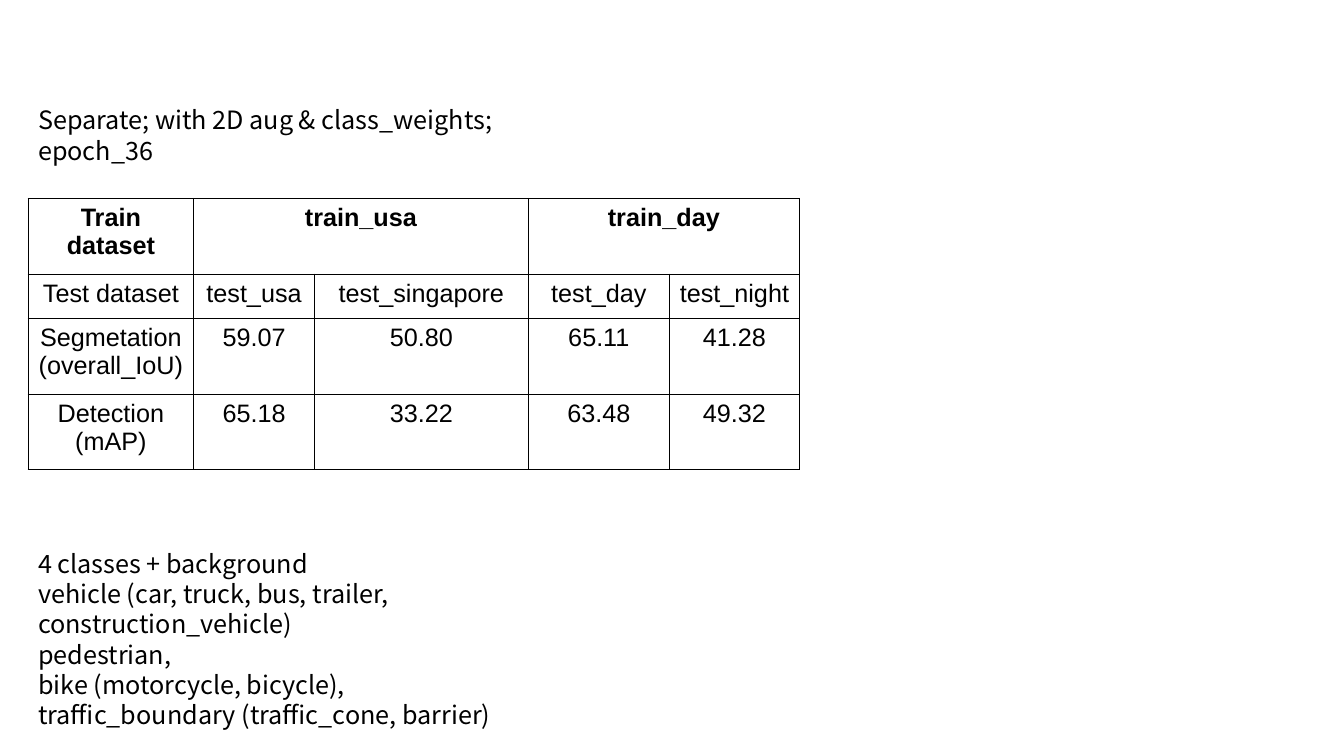
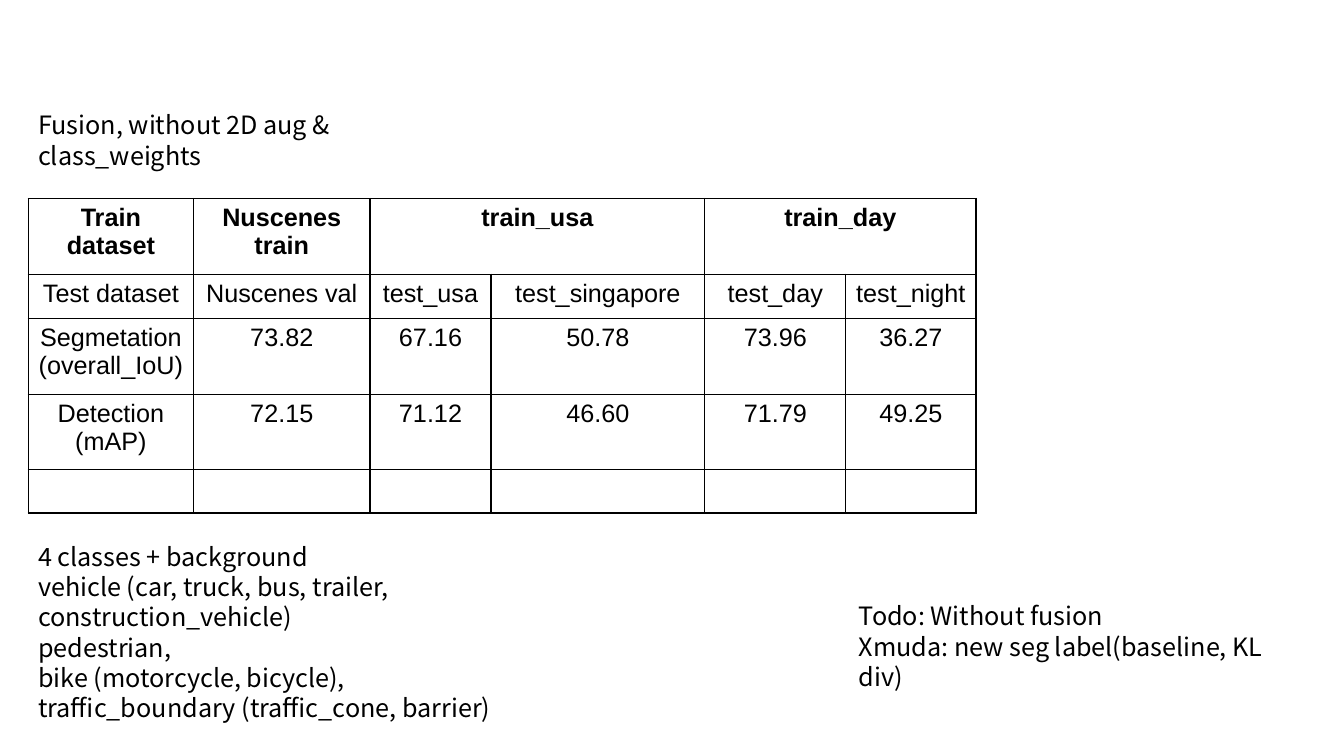
from dataclasses import dataclass

from lxml import etree
from pptx import Presentation
from pptx.dml.color import RGBColor
from pptx.enum.text import PP_ALIGN
from pptx.oxml.ns import qn
from pptx.slide import Slide
from pptx.table import _Cell
from pptx.text.text import TextFrame
from pptx.util import Inches, Pt

LEFT = PP_ALIGN.LEFT
CENTER = PP_ALIGN.CENTER
BLANK_LAYOUT = 6


@dataclass(frozen=True)
class Theme:
    """Colours, fonts and sizes shared by all slides."""

    ink: str = "000000"
    table_font: str = "Arial"
    note_font: str = "Noto Sans CJK SC"
    text_size: float = 18
    note_leading: float = 21.6
    border_width: float = 1
    left: float = 0.28
    table_top: float = 1.97
    cell_margin: float = 0.09


@dataclass(frozen=True)
class Note:
    """A text box with one paragraph per line."""

    left: float
    top: float
    width: float
    height: float
    text: str


@dataclass(frozen=True)
class TestSet:
    """A result column for one test set."""

    name: str
    width: float
    segmentation: str
    detection: str


@dataclass(frozen=True)
class TrainSet:
    """A training set and the test sets it is scored on."""

    name: str
    tests: tuple[TestSet, ...]


@dataclass(frozen=True)
class ResultSlide:
    """The content of one results slide."""

    train_sets: tuple[TrainSet, ...]
    row_heights: tuple[float, ...]
    notes: tuple[Note, ...]


THEME = Theme()
LABEL_WIDTH = 1.64
ROW_LABELS = ("Train dataset", "Test dataset", "Segmetation\n(overall_IoU)", "Detection\n(mAP)")
ROW_HEIGHTS = (0.75, 0.44, 0.75, 0.75)
CLASSES = (
    "4 classes + background\n"
    "vehicle (car, truck, bus, trailer, construction_vehicle)\n"
    "pedestrian,\n"
    "bike (motorcycle, bicycle),\n"
    "traffic_boundary (traffic_cone, barrier)"
)


def classes_note(top: float) -> Note:
    """Return the list of classes placed at the given height."""
    return Note(THEME.left, top, 5.72, 1.62, CLASSES)


def domain_sets(usa: tuple[str, str], singapore: tuple[str, str],
                day: tuple[str, str], night: tuple[str, str]) -> tuple[TrainSet, ...]:
    """Return the train sets with their segmentation and detection scores."""
    return (
        TrainSet("train_usa", (TestSet("test_usa", 1.2, *usa),
                               TestSet("test_singapore", 2.12, *singapore))),
        TrainSet("train_day", (TestSet("test_day", 1.4, *day),
                               TestSet("test_night", 1.29, *night))),
    )


SLIDES = (
    ResultSlide(
        domain_sets(("59.07", "65.18"), ("50.80", "33.22"),
                    ("65.11", "63.48"), ("41.28", "49.32")),
        ROW_HEIGHTS,
        (
            classes_note(5.39),
            Note(THEME.left, 0.99, 5.52, 0.4, "Separate; with 2D aug & class_weights; epoch_36"),
        ),
    ),
    ResultSlide(
        (TrainSet("Nuscenes train", (TestSet("Nuscenes val", 1.75, "73.82", "72.15"),)),)
        + domain_sets(("67.16", "71.12"), ("50.78", "46.60"),
                      ("73.96", "71.79"), ("36.27", "49.25")),
        ROW_HEIGHTS + (0.43,),
        (
            classes_note(5.32),
            Note(8.42, 5.91, 4.37, 0.71,
                 "Todo: Without fusion\nXmuda: new seg label(baseline, KL div)"),
            Note(THEME.left, 1.04, 4.47, 0.4, "Fusion, without 2D aug & class_weights"),
        ),
    ),
)


def write_text(frame: TextFrame, text: str, *, font: str, bold: bool = False,
               align: PP_ALIGN = LEFT, leading: float | None = None) -> None:
    """Fill a text frame with formatted paragraphs."""
    frame.text = text
    frame.word_wrap = True
    for paragraph in frame.paragraphs:
        paragraph.alignment = align
        if leading is not None:
            paragraph.line_spacing = Pt(leading)
        paragraph.font.size = Pt(THEME.text_size)
        for run in paragraph.runs:
            run.font.name = font
            run.font.size = Pt(THEME.text_size)
            run.font.bold = bold
            run.font.color.rgb = RGBColor.from_string(THEME.ink)


def format_cell(cell: _Cell) -> None:
    """Give a cell thin borders, side margins and no fill."""
    properties = cell._tc.get_or_add_tcPr()
    for side in ("lnL", "lnR", "lnT", "lnB"):
        line = etree.SubElement(properties, qn(f"a:{side}"), w=str(Pt(THEME.border_width)))
        fill = etree.SubElement(line, qn("a:solidFill"))
        etree.SubElement(fill, qn("a:srgbClr"), val=THEME.ink)
    cell.fill.background()
    cell.margin_left = cell.margin_right = Inches(THEME.cell_margin)


def add_results_table(slide: Slide, content: ResultSlide) -> None:
    """Draw the scores under grouped train set headings."""
    tests = [test for train in content.train_sets for test in train.tests]
    widths = [LABEL_WIDTH] + [test.width for test in tests]
    heights = content.row_heights
    table = slide.shapes.add_table(
        len(heights), len(widths), Inches(THEME.left), Inches(THEME.table_top),
        Inches(sum(widths)), Inches(sum(heights))).table
    table.first_row = table.horz_banding = False
    for column, width in zip(table.columns, widths):
        column.width = Inches(width)
    for row, height in zip(table.rows, heights):
        row.height = Inches(height)

    headings = [ROW_LABELS[0]]
    for train in content.train_sets:
        headings += [train.name] + [""] * (len(train.tests) - 1)
    columns = [ROW_LABELS[1:]] + [(test.name, test.segmentation, test.detection) for test in tests]
    for column_index, (heading, values) in enumerate(zip(headings, columns)):
        texts = (heading, *values)
        for row_index in range(len(heights)):
            cell = table.cell(row_index, column_index)
            format_cell(cell)
            text = texts[row_index] if row_index < len(texts) else ""
            write_text(cell.text_frame, text, font=THEME.table_font,
                       bold=row_index == 0, align=CENTER)

    first = 1
    for train in content.train_sets:
        last = first + len(train.tests) - 1
        if last > first:
            table.cell(0, first).merge(table.cell(0, last))
        first = last + 1


def add_note(slide: Slide, note: Note) -> None:
    """Draw a note as a wrapped text box."""
    shape = slide.shapes.add_textbox(
        Inches(note.left), Inches(note.top), Inches(note.width), Inches(note.height))
    write_text(shape.text_frame, note.text, font=THEME.note_font, leading=THEME.note_leading)


def main() -> None:
    """Build and save the presentation."""
    presentation = Presentation()
    presentation.slide_width = Inches(13.33)
    presentation.slide_height = Inches(7.5)
    for content in SLIDES:
        slide = presentation.slides.add_slide(presentation.slide_layouts[BLANK_LAYOUT])
        add_results_table(slide, content)
        for note in content.notes:
            add_note(slide, note)
    presentation.save("out.pptx")


if __name__ == "__main__":
    main()
